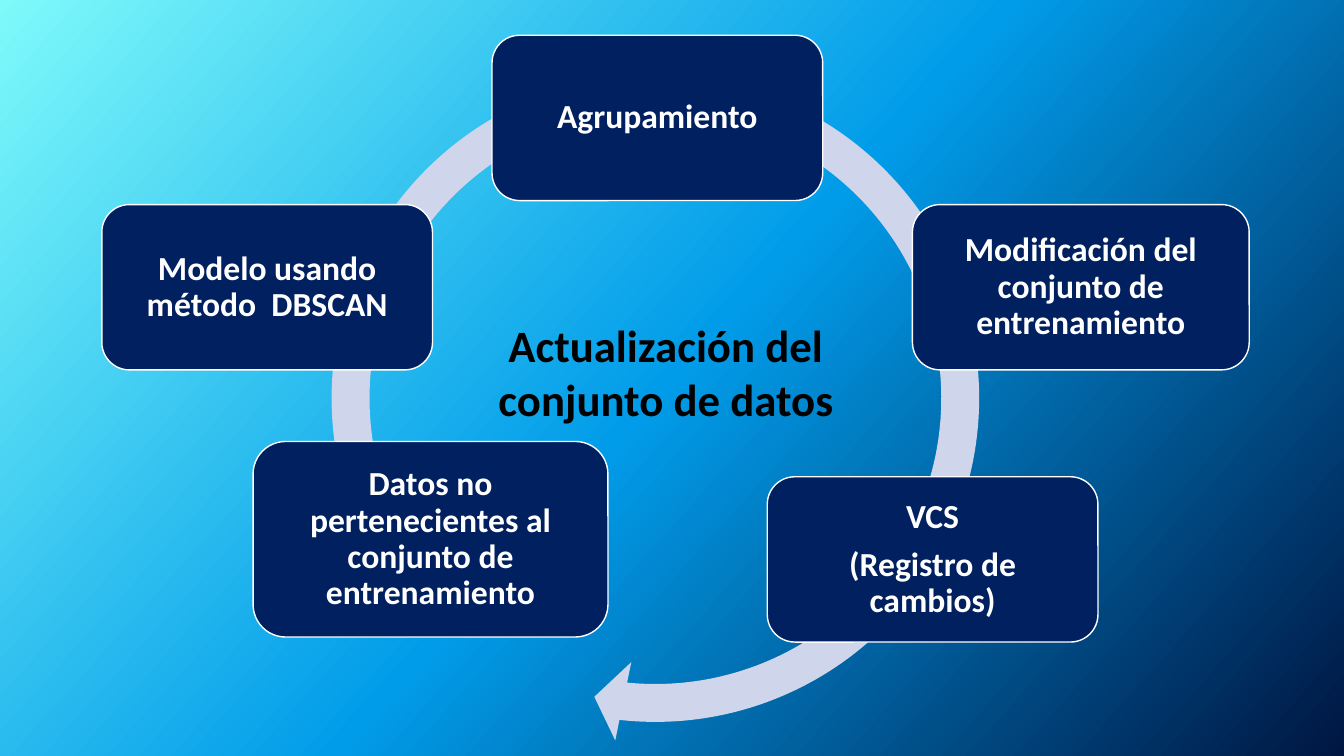
from lxml import etree
from pptx import Presentation
from pptx.dml.color import RGBColor
from pptx.enum.shapes import MSO_SHAPE
from pptx.enum.text import MSO_ANCHOR, PP_ALIGN
from pptx.oxml.ns import qn
from pptx.util import Inches, Pt

ROUNDED = MSO_SHAPE.ROUNDED_RECTANGLE
CIRCULAR_ARROW = MSO_SHAPE.CIRCULAR_ARROW
MIDDLE = MSO_ANCHOR.MIDDLE
CENTER = PP_ALIGN.CENTER

COLORS = {"box": "002060", "white": "FFFFFF", "arrow": "CFD5EA", "title": "000000"}
FONT = "Calibri"
BACKGROUND_STOPS = [(0, "7EFAFA"), (50, "019CE9"), (100, "001642")]
BACKGROUND_ANGLE = 42

TITLE = "Actualización del conjunto de datos"
TITLE_PLACE = (4.67, 3.1, 3.87, 1.18)
ARROW_PLACE = (3.08, 0.53, 6.84, 6.84)
ARROW_ROTATION = 227.4
ARROW_ADJUSTMENTS = [0.055, 3.307, 137.185, 174.21, 0.058]

# (left, top, width, height), paragraphs
STEPS = [
    ((4.88, 0.35, 3.28, 1.64), ["Agrupamiento"]),
    ((9.05, 2.03, 3.34, 1.64), ["Modificación del conjunto de entrenamiento"]),
    ((7.61, 4.73, 3.28, 1.64), ["VCS", "(Registro de cambios)"]),
    ((2.51, 4.38, 3.52, 1.94), ["Datos no pertenecientes al conjunto de entrenamiento"]),
    ((1.01, 2.03, 3.28, 1.64), ["Modelo usando método  DBSCAN"]),
]


def color(name):
    return RGBColor.from_string(COLORS[name])


def inches(place):
    return [Inches(value) for value in place]


def paint_background(page):
    fill = page.background.fill
    fill.gradient()
    fill.gradient_angle = 360 - BACKGROUND_ANGLE  # python-pptx counts counter-clockwise
    stops = page.element.find(".//" + qn("a:gsLst"))
    for stop in list(stops):
        stops.remove(stop)
    for percent, value in BACKGROUND_STOPS:
        stop = etree.SubElement(stops, qn("a:gs"), pos=str(percent * 1000))
        etree.SubElement(stop, qn("a:srgbClr"), val=value)


def add_filled_shape(page, kind, place, fill_name):
    shape = page.shapes.add_shape(kind, *inches(place))
    shape.shadow.inherit = False
    shape.fill.solid()
    shape.fill.fore_color.rgb = color(fill_name)
    return shape


def write(frame, paragraphs, size, color_name):
    """Fill a text frame with centred bold paragraphs and return them."""
    frame.word_wrap = True
    for number, text in enumerate(paragraphs):
        para = frame.add_paragraph() if number else frame.paragraphs[0]
        para.alignment = CENTER
        span = para.add_run()
        span.text = text
        span.font.name = FONT
        span.font.size = Pt(size)
        span.font.bold = True
        span.font.color.rgb = color(color_name)
    return frame.paragraphs


def add_arrow(page):
    arrow = add_filled_shape(page, CIRCULAR_ARROW, ARROW_PLACE, "arrow")
    arrow.line.fill.background()
    arrow.rotation = ARROW_ROTATION
    for number, value in enumerate(ARROW_ADJUSTMENTS):
        arrow.adjustments[number] = value


def add_step(page, place, paragraphs):
    box = add_filled_shape(page, ROUNDED, place, "box")
    box.line.color.rgb = color("white")
    box.line.width = Pt(1)
    frame = box.text_frame
    frame.vertical_anchor = MIDDLE
    frame.margin_left = frame.margin_right = Inches(0.1)
    frame.margin_top = frame.margin_bottom = Inches(0.1)
    for para in write(frame, paragraphs, 24, "white"):
        para.line_spacing = 0.9
        para.space_after = Pt(8.4)


def main():
    deck = Presentation()
    deck.slide_width, deck.slide_height = Inches(13.33), Inches(7.5)
    page = deck.slides.add_slide(deck.slide_layouts[6])
    paint_background(page)
    add_arrow(page)
    for place, paragraphs in STEPS:
        add_step(page, place, paragraphs)
    title = page.shapes.add_textbox(*inches(TITLE_PLACE))
    write(title.text_frame, [TITLE], 32, "title")
    deck.save("out.pptx")


if __name__ == "__main__":
    main()
